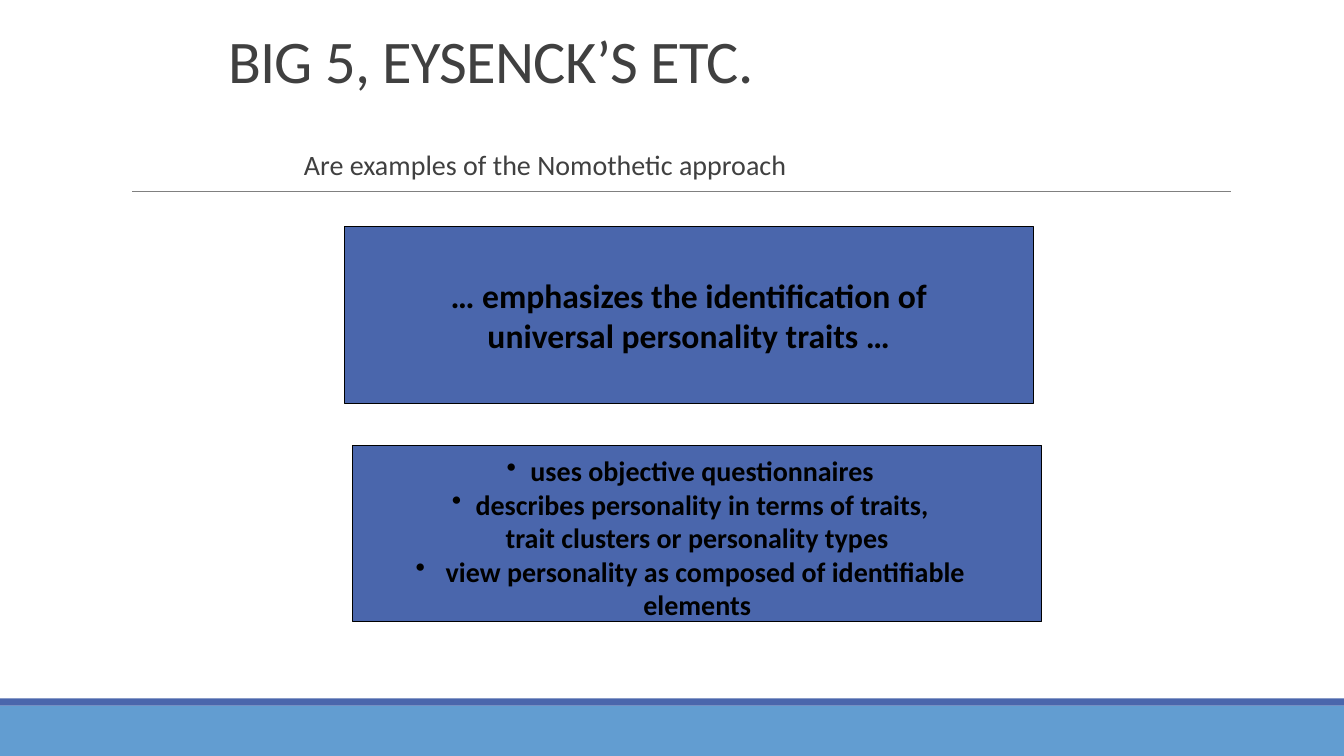
from lxml.etree import SubElement
from pptx import Presentation
from pptx.dml.color import RGBColor
from pptx.enum.shapes import MSO_CONNECTOR as CONN, MSO_SHAPE as SHAPE
from pptx.enum.text import MSO_ANCHOR as ANCHOR, PP_ALIGN as ALIGN
from pptx.oxml.ns import qn
from pptx.util import Pt

PX = 9525
WIDTH, HEIGHT = 1280, 720
INDIGO = RGBColor(0x4A, 0x66, 0xAC)
SKY = RGBColor(0x62, 0x9D, 0xD1)
GREY = RGBColor(0x80, 0x80, 0x80)
CHARCOAL = RGBColor(0x40, 0x40, 0x40)
BLACK = RGBColor(0, 0, 0)


class SlideBuilder:
    """Draws styled elements on one slide, with lengths in px."""

    font = "Calibri"

    def __init__(self, s):
        self.s = s

    def rect(self, x, y, w, h, fill, line=None):
        sp = self.s.shapes.add_shape(SHAPE.RECTANGLE, x * PX, y * PX, w * PX, h * PX)
        sp.shadow.inherit = False
        sp.fill.solid()
        sp.fill.fore_color.rgb = fill
        if line is None:
            sp.line.fill.background()
        else:
            sp.line.color.rgb = line
            sp.line.width = Pt(0.75)
        return sp

    def rule(self, x1, x2, y, color):
        c = self.s.shapes.add_connector(CONN.STRAIGHT, x1 * PX, y * PX, x2 * PX, y * PX)
        c.line.color.rgb = color
        c.line.width = Pt(0.5)
        SubElement(c._element.spPr, qn("a:effectLst"))

    def style(self, p, text, size, color, bold=False):
        p.add_run().text = text
        p.font.name = self.font
        p.font.size = Pt(size)
        p.font.color.rgb = color
        p.font.bold = bold

    def heading(self, x, y, w, h, text, size, spacing, anchor, tracking=0):
        tf = self.s.shapes.add_textbox(x * PX, y * PX, w * PX, h * PX).text_frame
        tf.word_wrap = True
        tf.vertical_anchor = anchor
        p = tf.paragraphs[0]
        p.line_spacing = spacing
        self.style(p, text, size, CHARCOAL)
        if tracking:
            p.runs[0]._r.get_or_add_rPr().set("spc", str(tracking))

    def panel(self, x, y, w, h, lines, size, anchor, bottom):
        tf = self.rect(x, y, w, h, INDIGO, BLACK).text_frame
        tf.word_wrap = False
        tf.vertical_anchor = anchor
        tf.margin_bottom = bottom * PX
        for i, (bullet, text) in enumerate(lines):
            p = tf.paragraphs[0] if i == 0 else tf.add_paragraph()
            p.alignment = ALIGN.CENTER
            if bullet:
                SubElement(p._p.get_or_add_pPr(), qn("a:buChar"), char=bullet)
            self.style(p, text, size, BLACK, bold=True)


def main():
    prs = Presentation()
    prs.slide_width, prs.slide_height = WIDTH * PX, HEIGHT * PX
    b = SlideBuilder(prs.slides.add_slide(prs.slide_layouts[6]))

    b.rect(0, 672, WIDTH, 48, SKY)
    b.rect(0, 665, WIDTH, 7, INDIGO)
    b.rule(126, 1172, 182, GREY)

    b.heading(208, 29, 784, 67, "BIG 5, EYSENCK’S ETC.", 43.2, 0.85, ANCHOR.BOTTOM, -50)
    b.heading(280, 139, 672, 40, "Are examples of the Nomothetic approach", 20, 0.9, ANCHOR.TOP)

    emphasis = [
        ("", "… emphasizes the identification of"),
        ("", "universal personality traits …"),
    ]
    features = [
        ("•", "uses objective questionnaires"),
        ("•", "describes personality in terms of traits,"),
        ("", "trait clusters or personality types"),
        ("•", " view personality as composed of identifiable"),
        ("", "elements"),
    ]
    b.panel(328, 216, 656, 168, emphasis, 24, ANCHOR.MIDDLE, 5)
    b.panel(336, 424, 656, 168, features, 20, ANCHOR.BOTTOM, 0)

    prs.save("out.pptx")


if __name__ == "__main__":
    main()
